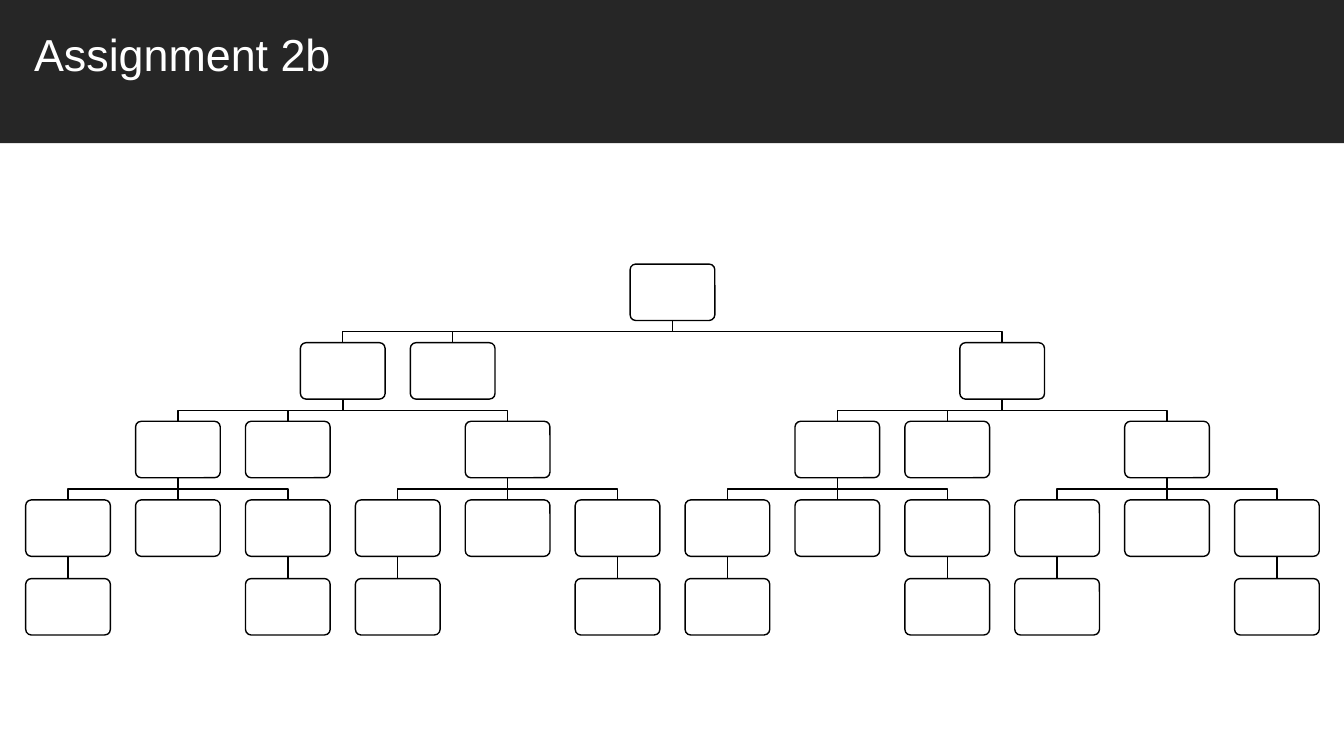
from pptx import Presentation
from pptx.dml.color import RGBColor
from pptx.enum.shapes import MSO_CONNECTOR, MSO_SHAPE
from pptx.oxml.xmlchemy import OxmlElement
from pptx.util import Inches, Pt

"""Build the Assignment 2b slide with its empty tree of boxes."""

TITLE = "Assignment 2b"
COLORS = {"band": "262626", "title": "FFFFFF", "box": "FFFFFF", "line": "000000"}

LEAF = ((0, ()),)
TEAM = ((-1, LEAF), (0, ()), (1, LEAF))
HALF = ((-1.5, TEAM), (-0.5, ()), (1.5, TEAM))
TREE = ((-3, HALF), (-2, ()), (3, HALF))

ROOT, TOP = 6.67, 2.62
STEP, DROP = 1.09, 0.78
WIDE, HIGH = 0.84, 0.56


def color(name):
    return RGBColor.from_string(COLORS[name])


def edge(shape):
    shape.line.color.rgb = color("line")
    shape.line.width = Pt(1)


def add_box(shapes, kind, area, fill):
    box = shapes.add_shape(kind, *map(Inches, area))
    box.shadow.inherit = False
    box.fill.solid()
    box.fill.fore_color.rgb = color(fill)
    return box


def add_link(shapes, start, end, top):
    low = top + DROP - HIGH
    mid = (top + low) / 2
    if start == end:
        ends = map(Inches, (start, top, end, low))
        link = shapes.add_connector(MSO_CONNECTOR.STRAIGHT, *ends)
        edge(link)
        link.element.spPr.append(OxmlElement("a:effectLst"))
        return
    path = shapes.build_freeform(Inches(start), Inches(top))
    turns = [(start, mid), (end, mid), (end, low)]
    path.add_line_segments([(Inches(x), Inches(y)) for x, y in turns], close=False)
    link = path.convert_to_shape()
    link.shadow.inherit = False
    link.fill.background()
    edge(link)


def add_tree(shapes, center, top, kids):
    area = (center - WIDE / 2, top, WIDE, HIGH)
    box = add_box(shapes, MSO_SHAPE.ROUNDED_RECTANGLE, area, "box")
    box.adjustments[0] = 0.1
    edge(box)
    for shift, below in kids:
        spot = center + shift * STEP
        add_link(shapes, center, spot, top + HIGH)
        add_tree(shapes, spot, top + DROP, below)


def add_title(shapes):
    band = add_box(shapes, MSO_SHAPE.RECTANGLE, (-0.01, -0.01, 13.34, 1.43), "band")
    band.line.fill.background()
    title = shapes.add_textbox(*map(Inches, (0.24, 0.22, 12.84, 0.64)))
    title.text_frame.word_wrap = True
    line = title.text_frame.paragraphs[0]
    line.text = TITLE
    line.font.name = "Arial"
    line.font.size = Pt(32)
    line.font.color.rgb = color("title")


def main():
    deck = Presentation()
    deck.slide_width, deck.slide_height = Inches(13.33), Inches(7.5)
    shapes = deck.slides.add_slide(deck.slide_layouts[6]).shapes
    add_title(shapes)
    add_tree(shapes, ROOT, TOP, TREE)
    deck.save("out.pptx")


if __name__ == "__main__":
    main()
